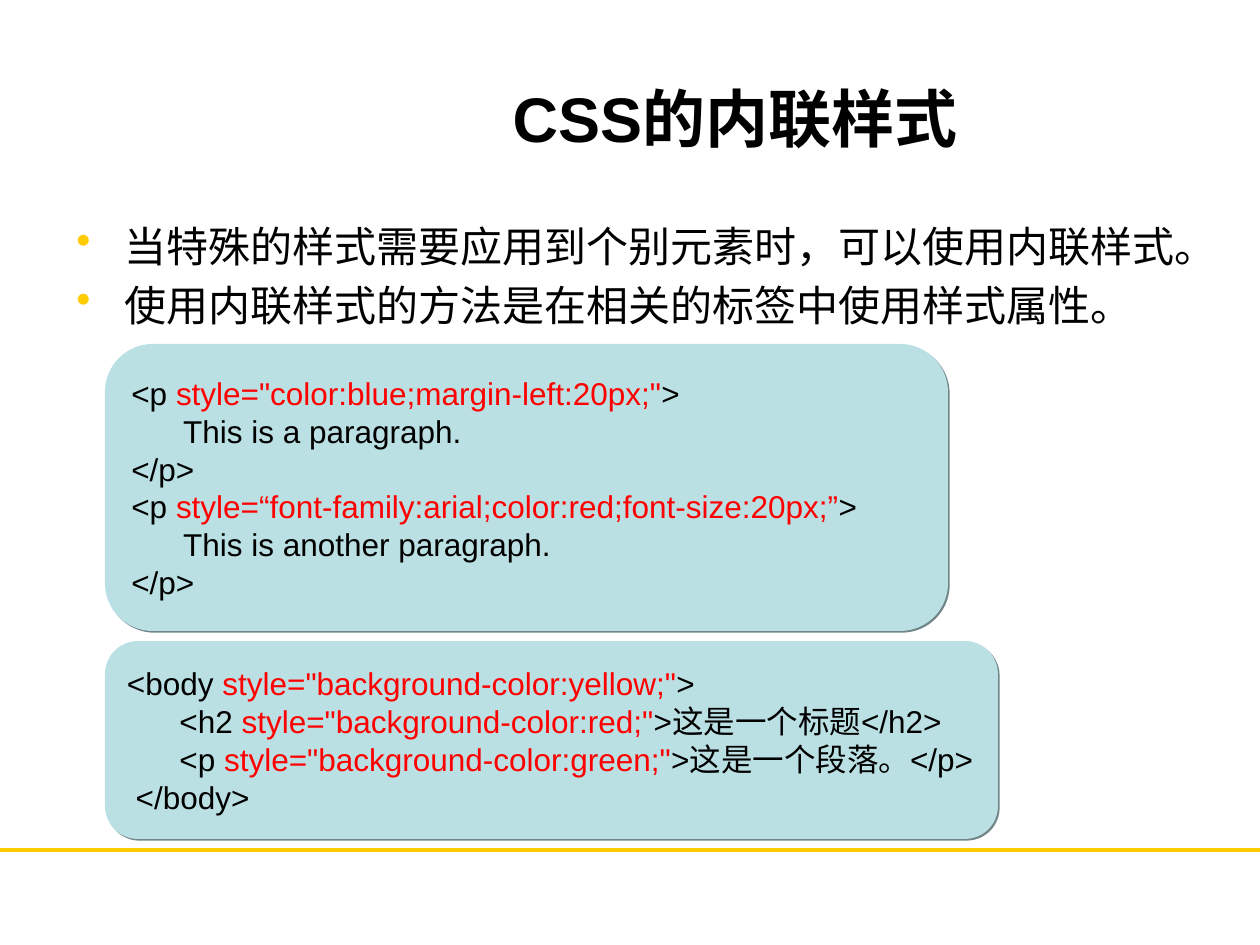
from dataclasses import dataclass

from lxml import etree
from pptx import Presentation
from pptx.dml.color import RGBColor
from pptx.enum.shapes import MSO_CONNECTOR, MSO_SHAPE
from pptx.enum.text import MSO_ANCHOR, PP_ALIGN
from pptx.oxml.ns import qn
from pptx.util import Emu, Pt

STRAIGHT = MSO_CONNECTOR.STRAIGHT
ROUNDED = MSO_SHAPE.ROUNDED_RECTANGLE
MIDDLE, TOP = MSO_ANCHOR.MIDDLE, MSO_ANCHOR.TOP
LEFT, CENTER = PP_ALIGN.LEFT, PP_ALIGN.CENTER

EMU_PER_PX = 914400 / 126
SLIDE_WIDTH, SLIDE_HEIGHT = 1260, 945


@dataclass(frozen=True)
class Theme:
    font: str = "Arial"
    ink: str = "000000"
    highlight: str = "FF0000"
    accent: str = "FFCC00"
    panel: str = "BBE0E3"
    shadow: str = "708688"
    title_size: int = 36
    bullet_size: int = 24
    code_size: int = 18


THEME = Theme()

TITLE = "CSS的内联样式"
POINTS = [
    "当特殊的样式需要应用到个别元素时，可以使用内联样式。",
    "使用内联样式的方法是在相关的标签中使用样式属性。",
]
# Each code line alternates plain and highlighted pieces.
PARAGRAPH_CODE = [
    ("<p ", 'style="color:blue;margin-left:20px;"', ">"),
    ("      This is a paragraph.",),
    ("</p>",),
    ("<p ", "style=“font-family:arial;color:red;font-size:20px;”", ">"),
    ("      This is another paragraph.",),
    ("</p>",),
]
BODY_CODE = [
    ("<body ", 'style="background-color:yellow;"', ">"),
    ("      <h2 ", 'style="background-color:red;"', ">这是一个标题</h2>"),
    ("      <p ", 'style="background-color:green;"', ">这是一个段落。</p>"),
    (" </body>",),
]


def px(length):
    return Emu(round(length * EMU_PER_PX))


def rgb(color):
    return RGBColor.from_string(color)


def style_font(font, size, color=THEME.ink, bold=False):
    font.name = THEME.font
    font.size = Pt(size)
    font.bold = bold
    font.color.rgb = rgb(color)


def add_text_box(slide, left, top, width, height, anchor):
    box = slide.shapes.add_textbox(px(left), px(top), px(width), px(height))
    frame = box.text_frame
    frame.word_wrap = True
    frame.vertical_anchor = anchor
    return frame


def add_title(slide, text):
    frame = add_text_box(slide, 273, 38, 924, 158, MIDDLE)
    frame.text = text
    heading = frame.paragraphs[0]
    heading.alignment = CENTER
    style_font(heading.runs[0].font, THEME.title_size, bold=True)


def add_bullet(paragraph, indent):
    properties = paragraph._p.get_or_add_pPr()
    properties.set("marL", str(px(indent)))
    properties.set("indent", str(-px(indent)))
    bullet_color = etree.SubElement(properties, qn("a:buClr"))
    etree.SubElement(bullet_color, qn("a:srgbClr"), val=THEME.accent)
    etree.SubElement(properties, qn("a:buChar"), char="•")


def add_points(slide, points):
    frame = add_text_box(slide, 64, 214, 1196, 139, TOP)
    frame.text = "\n".join(points)
    for index, point in enumerate(frame.paragraphs):
        add_bullet(point, 48)
        if index:
            point.space_before = Pt(5)
        style_font(point.runs[0].font, THEME.bullet_size)


def add_shadow(shape):
    """Give the shape a thin, hard shadow towards the lower right."""
    shape.shadow.inherit = False
    effects = shape._element.spPr.find(qn("a:effectLst"))
    shadow = etree.SubElement(effects, qn("a:outerShdw"), dist=str(Pt(1.4)),
                              dir="2700000", algn="ctr", rotWithShape="0")
    etree.SubElement(shadow, qn("a:srgbClr"), val=THEME.shadow)


def add_code_panel(slide, left, top, width, height, code):
    panel = slide.shapes.add_shape(ROUNDED, px(left), px(top), px(width), px(height))
    panel.fill.solid()
    panel.fill.fore_color.rgb = rgb(THEME.panel)
    panel.line.fill.background()
    add_shadow(panel)
    frame = panel.text_frame
    frame.word_wrap = False
    frame.vertical_anchor = MIDDLE
    for index, pieces in enumerate(code):
        line = frame.add_paragraph() if index else frame.paragraphs[0]
        line.alignment = LEFT
        for position, piece in enumerate(pieces):
            run = line.add_run()
            run.text = piece
            color = THEME.highlight if position % 2 else THEME.ink
            style_font(run.font, THEME.code_size, color)


def add_footer_rule(slide, y):
    rule = slide.shapes.add_connector(STRAIGHT, px(0), px(y), px(SLIDE_WIDTH), px(y))
    rule.line.color.rgb = rgb(THEME.accent)
    rule.line.width = Pt(2.25)
    etree.SubElement(rule._element.spPr, qn("a:effectLst"))


def main():
    presentation = Presentation()
    presentation.slide_width = px(SLIDE_WIDTH)
    presentation.slide_height = px(SLIDE_HEIGHT)
    slide = presentation.slides.add_slide(presentation.slide_layouts[6])
    add_footer_rule(slide, 850)
    add_code_panel(slide, 105, 344, 843, 287, PARAGRAPH_CODE)
    add_title(slide, TITLE)
    add_points(slide, POINTS)
    add_code_panel(slide, 105, 641, 893, 198, BODY_CODE)
    presentation.save("out.pptx")


if __name__ == "__main__":
    main()
